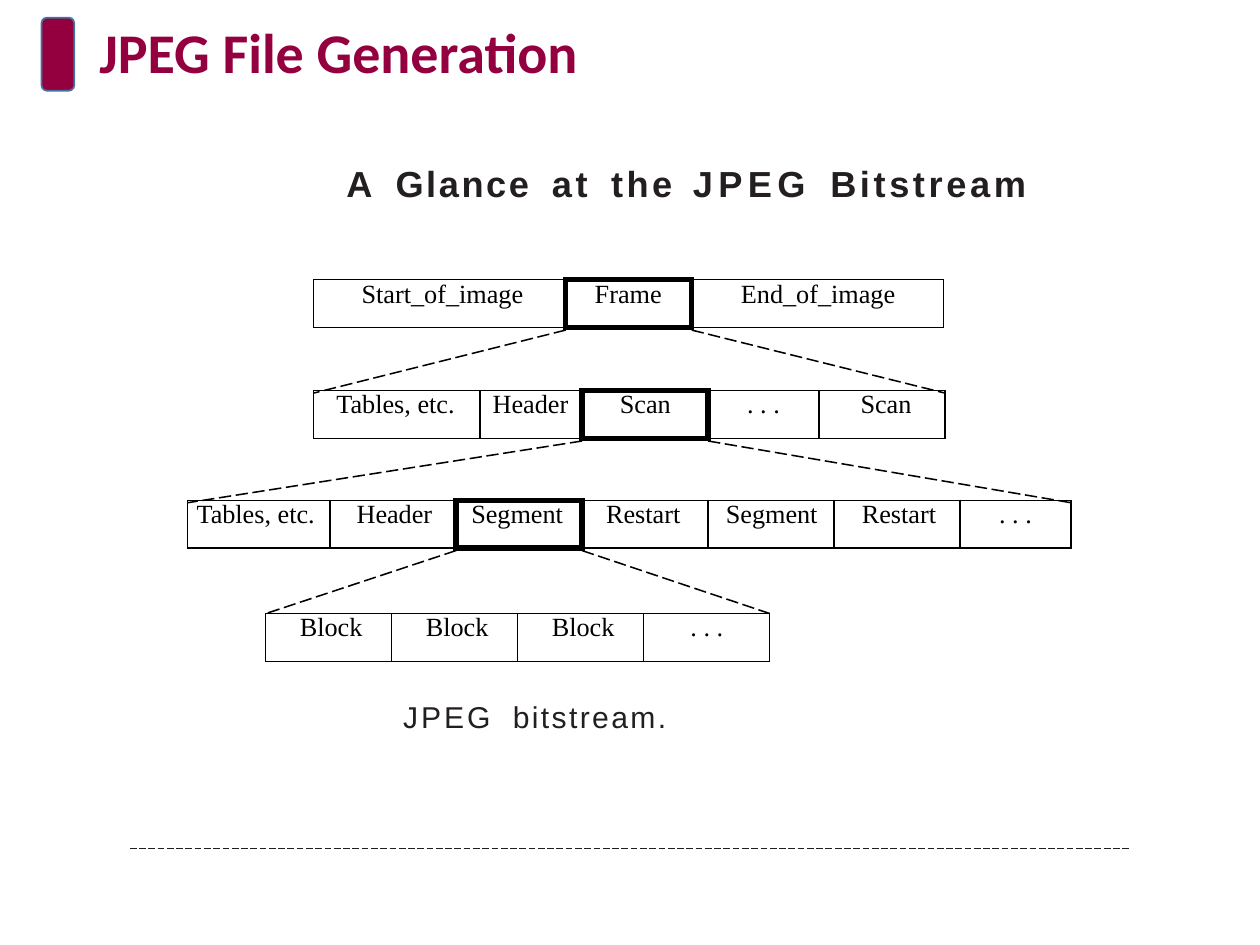
from lxml import etree
from pptx import Presentation
from pptx.dml.color import RGBColor
from pptx.enum.dml import MSO_LINE
from pptx.enum.shapes import MSO_CONNECTOR, MSO_SHAPE
from pptx.enum.text import MSO_ANCHOR, PP_ALIGN
from pptx.oxml.ns import qn
from pptx.util import Inches, Pt

WIDTH, HEIGHT = 10, 7.5
STRAIGHT = MSO_CONNECTOR.STRAIGHT
DASH = MSO_LINE.LONG_DASH
MAROON, INK, BLACK = "94003F", "231F20", "000000"
THIN, THICK = 0.88, 3.5
ROW_HEIGHT, GAP = 0.38, 0.02

TITLE = "JPEG File Generation"
# (word, tab stop, letter spacing)
HEADING = [("A", 0.97, 3.6), ("Glance", 1.36, 1.5), ("at", 2.6, 2.2), ("the", 3.07, 2),
           ("JPEG", 3.72, 3.1), ("Bitstream", 4.81, 2.1)]
CAPTION = [("JPEG", 0, 1.7), ("bitstream.", 0.87, 1.4)]
# left, top, highlighted column, cells of (text, width, indent or None when centred)
LEVELS = [
    (2.49, 2.22, 1, [("Start_of_image", 2, 0.38), ("Frame", 1, 0.23),
                     ("End_of_image", 2, 0.39)]),
    (2.49, 3.1, 2, [("Tables, etc.", 1.32, 0.18), ("Header", 0.81, 0.1), ("Scan", 1, 0.3),
                    (". . .", 0.88, 0.31), ("Scan", 1, 0.33)]),
    (1.49, 3.97, 2, [("Tables, etc.", 1.13, 0.07), ("Header", 1, 0.21), ("Segment", 1, 0.12),
                     ("Restart", 1, 0.19), ("Segment", 1, 0.14), ("Restart", 1, 0.22),
                     (". . .", 0.88, None)]),
    (2.11, 4.87, None, [("Block", 1, 0.27), ("Block", 1, 0.27), ("Block", 1, 0.27),
                        (". . .", 1, None)]),
]


def color(value):
    return RGBColor.from_string(value)


def style(font, name, size, value, bold=False):
    font.name, font.size, font.bold = name, Pt(size), bold
    font.color.rgb = color(value)


def add_text_frame(slide, left, top, width, height, margin=0):
    frame = slide.shapes.add_textbox(*map(Inches, (left, top, width, height))).text_frame
    frame.word_wrap = True
    frame.margin_left = frame.margin_right = Inches(margin)
    frame.margin_top = frame.margin_bottom = 0
    return frame


def add_spaced_line(slide, box, words, size, bold=False):
    paragraph = add_text_frame(slide, *box).paragraphs[0]
    stops = etree.SubElement(paragraph._p.get_or_add_pPr(), qn("a:tabLst"))
    for word, stop, spacing in words:
        if stop:
            etree.SubElement(stops, qn("a:tab"), pos=str(Inches(stop)), algn="l")
        run = paragraph.add_run()
        run.text = "\t" + word if stop else word
        style(run.font, "Arial", size, INK, bold)
        run.font._element.set("spc", str(round(spacing * 100)))


def add_dashed_line(slide, start, end, width=THIN, value=BLACK):
    line = slide.shapes.add_connector(STRAIGHT, *map(Inches, (*start, *end)))
    line.line.color.rgb = color(value)
    line.line.width = Pt(width)
    line.line.dash_style = DASH
    etree.SubElement(line._element.spPr, qn("a:effectLst"))


def set_border(cell, side, width):
    border = etree.SubElement(cell._tc.get_or_add_tcPr(), qn("a:ln" + side), w=str(Pt(width)))
    fill = etree.SubElement(border, qn("a:solidFill"))
    etree.SubElement(fill, qn("a:srgbClr"), val=BLACK)


def add_level(slide, left, top, highlight, cells):
    total = sum(width for _, width, _ in cells)
    table = slide.shapes.add_table(
        1, len(cells), *map(Inches, (left, top, total, ROW_HEIGHT))).table
    table.first_row = table.horz_banding = False
    table.rows[0].height = Inches(ROW_HEIGHT)
    for index, (text, width, indent) in enumerate(cells):
        table.columns[index].width = Inches(width)
        cell = table.cell(0, index)
        cell.margin_left = cell.margin_right = cell.margin_top = cell.margin_bottom = 0
        cell.text = text
        paragraph = cell.text_frame.paragraphs[0]
        if indent is None:
            paragraph.alignment = PP_ALIGN.CENTER
        else:
            paragraph._p.get_or_add_pPr().set("marL", str(Inches(indent)))
        style(paragraph.runs[0].font, "Times New Roman", 15, BLACK)
        thick_sides = ""
        if highlight is not None:
            thick_sides = {-1: "R", 0: "LRTB", 1: "L"}.get(index - highlight, "")
        for side in "LRTB":
            set_border(cell, side, THICK if side in thick_sides else THIN)
        cell.fill.background()


def add_expansion(slide, parent, child):
    """Join the highlighted cell of one level to both ends of the next."""
    left, top, highlight, cells = parent
    child_left, child_top, child_highlight, child_cells = child
    start = left + sum(width for _, width, _ in cells[:highlight])
    child_right = child_left + sum(width for _, width, _ in child_cells)
    bottom = top + ROW_HEIGHT + GAP
    end = child_top + (0 if child_highlight is None else GAP)
    add_dashed_line(slide, (start, bottom), (child_left, end))
    add_dashed_line(slide, (start + cells[highlight][1], bottom), (child_right, end))


def main():
    presentation = Presentation()
    presentation.slide_width, presentation.slide_height = Inches(WIDTH), Inches(HEIGHT)
    slide = presentation.slides.add_slide(presentation.slide_layouts[6])

    marker = slide.shapes.add_shape(
        MSO_SHAPE.ROUNDED_RECTANGLE, *map(Inches, (0.33, 0.14, 0.26, 0.58)))
    marker.shadow.inherit = False
    marker.fill.solid()
    marker.fill.fore_color.rgb = color(MAROON)
    marker.line.color.rgb = color("43739E")
    marker.line.width = Pt(1)

    frame = add_text_frame(slide, 0.69, 0.15, 8.62, 0.58, margin=0.1)
    frame.vertical_anchor = MSO_ANCHOR.MIDDLE
    frame.text = TITLE
    frame.paragraphs[0].line_spacing = 0.9
    style(frame.paragraphs[0].runs[0].font, "Calibri", 32, MAROON, True)

    add_spaced_line(slide, (1.78, 1.28, 6.43, 0.36), HEADING, 20.7, True)
    for parent, child in zip(LEVELS, LEVELS[1:]):
        add_expansion(slide, parent, child)
    add_spaced_line(slide, (3.2, 5.54, 3.6, 0.3), CAPTION, 17.2)
    add_dashed_line(slide, (1.03, 6.73), (WIDTH - 1.03, 6.73), 0.48, "221E1F")
    for level in LEVELS:
        add_level(slide, *level)

    presentation.save("out.pptx")


if __name__ == "__main__":
    main()
